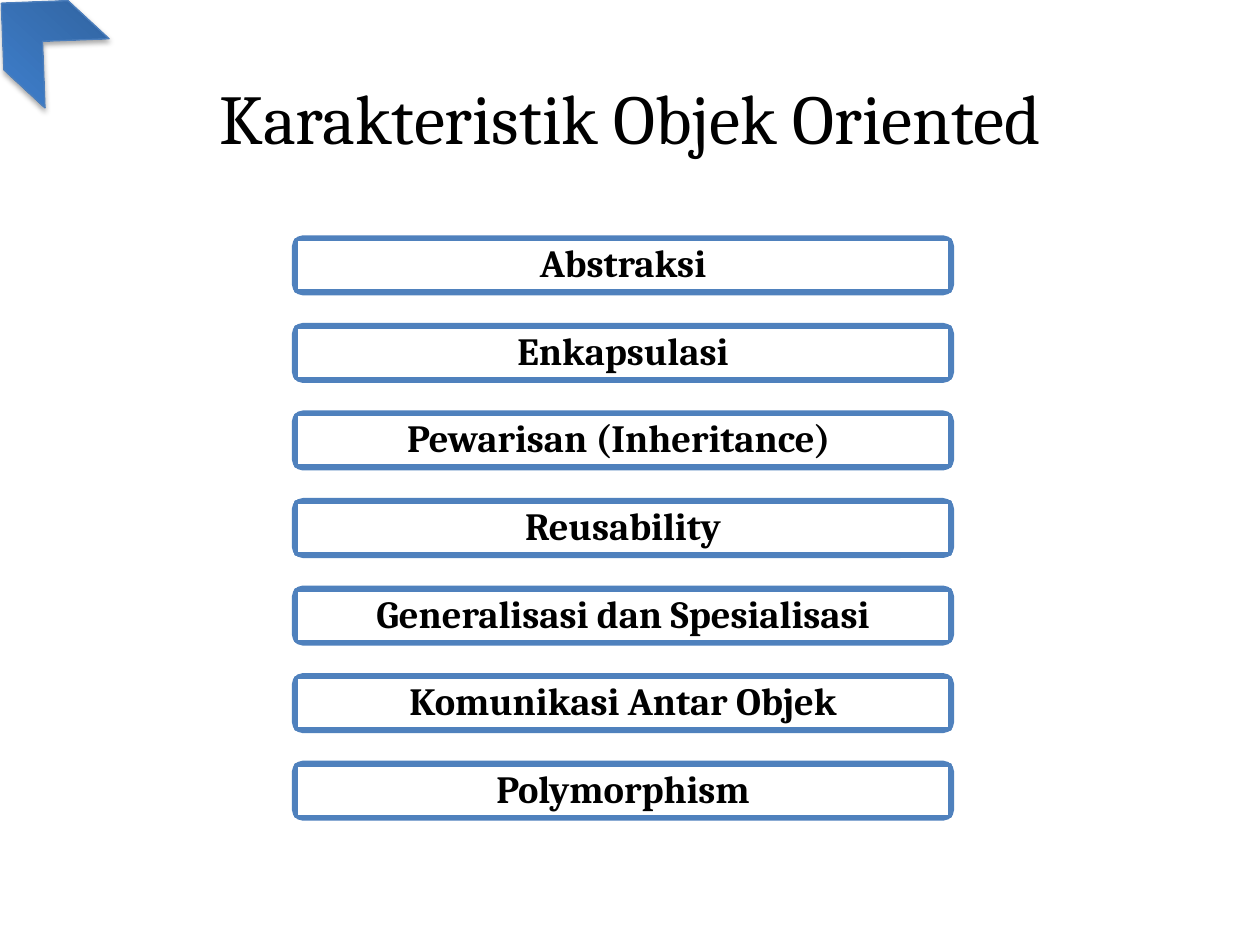
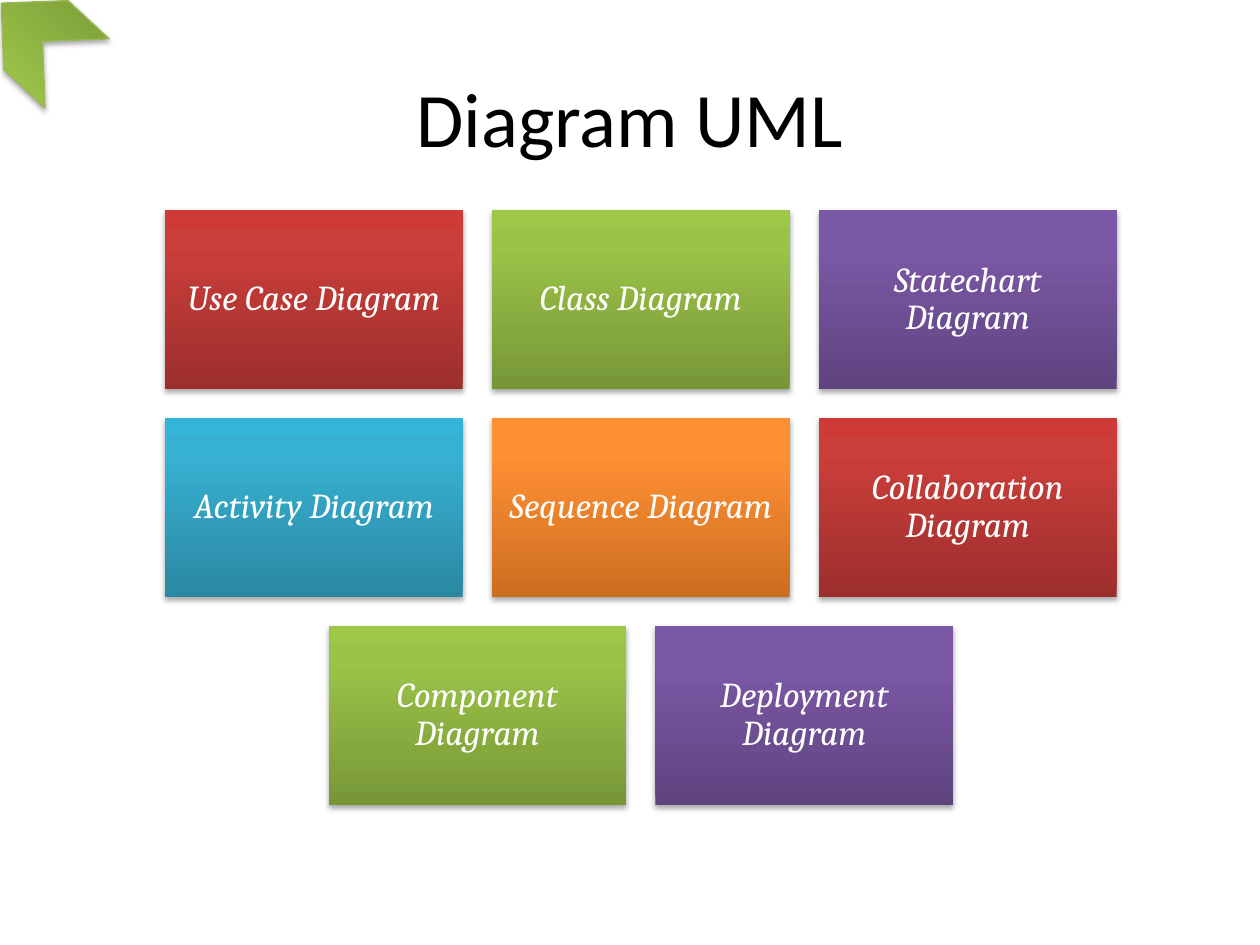
"""Build two slides: object-oriented characteristics and the UML diagram types."""
from copy import deepcopy

from lxml import etree
from pptx import Presentation
from pptx.dml.color import RGBColor
from pptx.enum.shapes import MSO_SHAPE
from pptx.enum.text import MSO_ANCHOR, PP_ALIGN
from pptx.oxml import parse_xml
from pptx.oxml.ns import nsdecls, qn
from pptx.util import Cm, Pt

CHARACTERISTICS_TITLE = "Karakteristik Objek Oriented"
CHARACTERISTICS = [
    "Abstraksi",
    "Enkapsulasi",
    "Pewarisan (Inheritance) ",
    "Reusability",
    "Generalisasi dan Spesialisasi",
    "Komunikasi Antar Objek",
    "Polymorphism",
]
DIAGRAMS_TITLE = "Diagram UML"
DIAGRAM_ROWS = [
    ["Use Case Diagram", "Class Diagram", "Statechart Diagram"],
    ["Activity Diagram", "Sequence Diagram", "Collaboration Diagram"],
    ["Component Diagram", "Deployment Diagram"],
]

BLACK = RGBColor(0x00, 0x00, 0x00)
WHITE = RGBColor(0xFF, 0xFF, 0xFF)
BAR_BLUE = RGBColor(0x4F, 0x81, 0xBD)
CORNER_BLUE = RGBColor(0x4B, 0x7E, 0xBC)
CORNER_GREEN = RGBColor(0x98, 0xB9, 0x55)
BLUE = (RGBColor(0x2F, 0x5F, 0x99), RGBColor(0x3D, 0x7C, 0xC7), RGBColor(0x3A, 0x7C, 0xCB))
RED = (RGBColor(0x9C, 0x2F, 0x2D), RGBColor(0xCB, 0x3E, 0x3A), RGBColor(0xCE, 0x3B, 0x37))
GREEN = (RGBColor(0x77, 0x97, 0x37), RGBColor(0x9B, 0xC3, 0x48), RGBColor(0x9D, 0xC7, 0x46))
PURPLE = (RGBColor(0x5F, 0x44, 0x80), RGBColor(0x7B, 0x58, 0xA6), RGBColor(0x7C, 0x57, 0xA8))
AQUA = (RGBColor(0x2A, 0x88, 0xA2), RGBColor(0x37, 0xB1, 0xD2), RGBColor(0x34, 0xB4, 0xD6))
ORANGE = (RGBColor(0xCC, 0x6E, 0x20), RGBColor(0xFF, 0x90, 0x34), RGBColor(0xFF, 0x91, 0x36))
TILE_GRADIENTS = [RED, GREEN, PURPLE, AQUA, ORANGE]
GRADIENT_POSITIONS = (0, 0.8, 1)

HEADING_FONT = "Calibri"
BODY_FONT = "Cambria"
RECTANGLE = MSO_SHAPE.RECTANGLE
ROUNDED = MSO_SHAPE.ROUNDED_RECTANGLE
CHEVRON = MSO_SHAPE.CHEVRON
CENTER = PP_ALIGN.CENTER
MIDDLE = MSO_ANCHOR.MIDDLE

BAR_LEFT, BAR_WIDTH, BAR_HEIGHT = 5.92, 13.28, 1.14
FIRST_BAR_TOP, LAST_BAR_TOP = 4.78, 15.37
BAR_INSET = 0.05
TILE_WIDTH, TILE_HEIGHT, TILE_GAP = 6, 3.6, 0.59
GRID_CENTER, GRID_TOP = 12.92, 4.24


def write(shape, text, size, font=BODY_FONT, color=BLACK, bold=False, italic=False,
          margins=(0.25, 0.13), line_spacing=None):
    """Put centred, formatted text in a shape."""
    frame = shape.text_frame
    frame.word_wrap = True
    frame.vertical_anchor = MIDDLE
    frame.margin_left = frame.margin_right = Cm(margins[0])
    frame.margin_top = frame.margin_bottom = Cm(margins[1])
    paragraph = frame.paragraphs[0]
    paragraph.alignment = CENTER
    paragraph.line_spacing = line_spacing
    run = paragraph.add_run()
    run.text = text
    run.font.name, run.font.size = font, Pt(size)
    run.font.bold, run.font.italic = bold, italic
    run.font.color.rgb = color


def add_block(slide, kind, left, top, width, height, line=None, weight=0.75):
    """Add a white preset shape without shadow, outlined only if a colour is given."""
    block = slide.shapes.add_shape(kind, Cm(left), Cm(top), Cm(width), Cm(height))
    block.shadow.inherit = False
    block.fill.solid()
    block.fill.fore_color.rgb = WHITE
    if line is None:
        block.line.fill.background()
    else:
        block.line.color.rgb = line
        block.line.width = Pt(weight)
    return block


def shade(block, gradient):
    """Give a block an upward three-stop gradient and a soft shadow below."""
    block.fill.gradient()
    block.fill.gradient_angle = 90
    properties = block._element.spPr
    stops = properties.find(qn("a:gradFill")).find(qn("a:gsLst"))
    stops.append(deepcopy(stops[-1]))
    for stop, color, position in zip(block.fill.gradient_stops, gradient, GRADIENT_POSITIONS):
        stop.color.rgb = color
        stop.position = position
    shadow = parse_xml(
        f'<a:outerShdw {nsdecls("a")} blurRad="40000" dist="23000" dir="5400000" rotWithShape="0"/>')
    black = etree.SubElement(shadow, qn("a:srgbClr"), val=str(BLACK))
    etree.SubElement(black, qn("a:alpha"), val="35000")
    properties.find(qn("a:effectLst")).append(shadow)


def add_slide(deck, title, font, size, gradient, corner_line):
    """Add a slide with its title and corner chevron."""
    slide = deck.slides.add_slide(deck.slide_layouts[6])
    heading = slide.shapes.add_textbox(Cm(1.27), Cm(0.76), Cm(22.86), Cm(3.18))
    write(heading, title, size, font=font)
    corner = add_block(slide, CHEVRON, -0.25, -0.18, 2.08, 1.9, line=corner_line)
    corner.rotation = 222.8
    shade(corner, gradient)
    return slide


def add_characteristics(slide):
    """Stack one framed bar per characteristic."""
    pitch = (LAST_BAR_TOP - FIRST_BAR_TOP) / (len(CHARACTERISTICS) - 1)
    for index, characteristic in enumerate(CHARACTERISTICS):
        top = FIRST_BAR_TOP + index * pitch
        add_block(slide, ROUNDED, BAR_LEFT, top, BAR_WIDTH, BAR_HEIGHT, BAR_BLUE, 2)
        bar = add_block(slide, RECTANGLE, BAR_LEFT + BAR_INSET, top + BAR_INSET,
                        BAR_WIDTH - 2 * BAR_INSET, BAR_HEIGHT - 2 * BAR_INSET, BAR_BLUE, 2)
        write(bar, characteristic, 22, bold=True, margins=(0.61, 0), line_spacing=0.9)


def add_diagrams(slide):
    """Lay the diagram tiles out in centred rows, cycling through the gradients."""
    tile_count = 0
    for row, diagrams in enumerate(DIAGRAM_ROWS):
        row_width = len(diagrams) * (TILE_WIDTH + TILE_GAP) - TILE_GAP
        top = GRID_TOP + row * (TILE_HEIGHT + TILE_GAP)
        for column, diagram in enumerate(diagrams):
            left = GRID_CENTER - row_width / 2 + column * (TILE_WIDTH + TILE_GAP)
            tile = add_block(slide, RECTANGLE, left, top, TILE_WIDTH, TILE_HEIGHT)
            shade(tile, TILE_GRADIENTS[tile_count % len(TILE_GRADIENTS)])
            write(tile, diagram, 20, color=WHITE, italic=True,
                  margins=(0.2, 0.2), line_spacing=0.9)
            tile_count += 1


def main():
    """Build and save the deck."""
    deck = Presentation()
    deck.slide_width, deck.slide_height = Cm(25.4), Cm(19.05)
    add_characteristics(
        add_slide(deck, CHARACTERISTICS_TITLE, BODY_FONT, 40, BLUE, CORNER_BLUE))
    add_diagrams(
        add_slide(deck, DIAGRAMS_TITLE, HEADING_FONT, 44, GREEN, CORNER_GREEN))
    deck.save("out.pptx")


if __name__ == "__main__":
    main()
